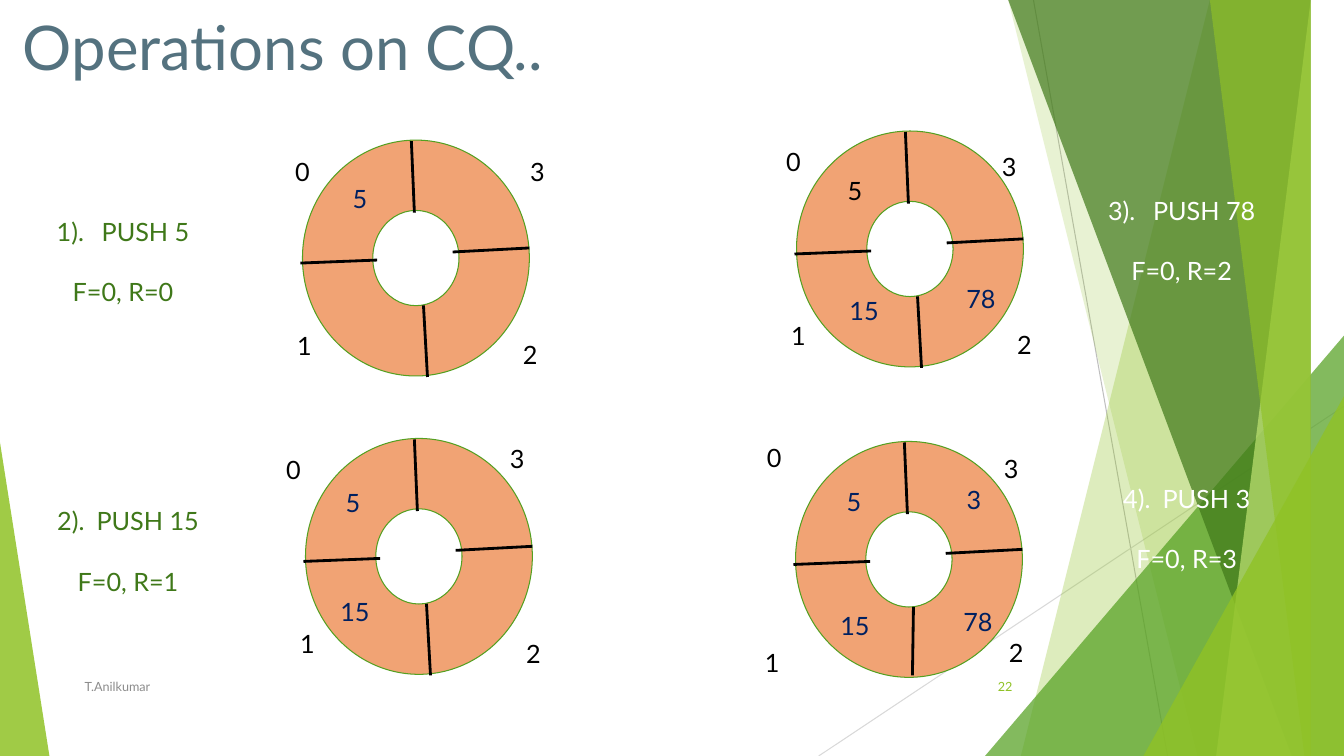
from lxml.etree import SubElement
from pptx import Presentation
from pptx.dml.color import RGBColor
from pptx.enum.shapes import MSO_CONNECTOR, MSO_SHAPE
from pptx.enum.text import MSO_ANCHOR, PP_ALIGN
from pptx.oxml.ns import qn
from pptx.util import Inches, Pt

WIDTH, HEIGHT = 13.33, 7.5
FONT = "Lato"
LIME = RGBColor(0x90, 0xC2, 0x26)
PALE_LIME = RGBColor(0xC0, 0xE4, 0x74)
GREEN = RGBColor(0x54, 0xA0, 0x21)
DARK_GREEN = RGBColor(0x3F, 0x78, 0x19)
ORANGE = RGBColor(0xF1, 0xA3, 0x74)
SLATE = RGBColor(0x54, 0x72, 0x7F)
NAVY = RGBColor(0x00, 0x20, 0x60)
BLACK = RGBColor(0x00, 0x00, 0x00)
WHITE = RGBColor(0xFF, 0xFF, 0xFF)
GREY = RGBColor(0x8C, 0x8C, 0x8C)
MID_GREY = RGBColor(0xBF, 0xBF, 0xBF)
LIGHT_GREY = RGBColor(0xD9, 0xD9, 0xD9)

RING_SIZE = (2.25, 2.34)
CELL_SIZE = (0.7, 0.4)
CAPTION_SIZE = (1.88, 0.97)

# Ring divider ends, measured from the ring's top left corner
DIVIDERS = {
    "top": (1.08, 0.01, 1.11, 0.72),
    "right": (2.25, 1.07, 1.49, 1.11),
    "bottom": (1.2, 1.64, 1.24, 2.35),
    "left": (0.74, 1.19, -0.02, 1.22),
}

# Each step: caption, ring corner, index centres 0 to 3 and stored values;
# centres are measured from the ring's corner
STEPS = [
    dict(number="1).", gap=3, action="PUSH 5", state="F=0, R=0",
         caption=(0.28, 2.11), color=DARK_GREEN, ring=(3.0, 1.39),
         indexes=[(0, 0.31), (0.02, 2.04), (2.26, 2.13), (2.33, 0.31)],
         values=[("5", 0.57, 0.58, NAVY)]),
    dict(number="2).", gap=2, action="PUSH 15", state="F=0, R=1",
         caption=(0.33, 4.98), color=DARK_GREEN, ring=(3.03, 4.35),
         indexes=[(-0.12, 0.31), (0.02, 2.03), (2.26, 2.13), (2.1, 0.2)],
         values=[("5", 0.47, 0.63, NAVY), ("15", 0.49, 1.72, NAVY)]),
    dict(number="3).", gap=3, action="PUSH 78", state="F=0, R=2",
         caption=(10.78, 1.9), color=WHITE, ring=(7.9, 1.3),
         indexes=[(-0.03, 0.3), (0.02, 2.03), (2.26, 2.12), (2.11, 0.35)],
         values=[("5", 0.58, 0.59, BLACK), ("15", 0.67, 1.78, NAVY),
                 ("78", 1.83, 1.66, NAVY)]),
    dict(number="4).", gap=2, action="PUSH 3", state="F=0, R=3",
         caption=(10.83, 4.76), color=WHITE, ring=(7.89, 4.38),
         indexes=[(-0.21, 0.16), (-0.23, 2.19), (2.19, 2.09), (2.14, 0.27)],
         values=[("5", 0.58, 0.59, NAVY), ("15", 0.59, 1.83, NAVY),
                 ("78", 1.81, 1.79, NAVY), ("3", 1.77, 0.58, NAVY)],
         dividers={"bottom": (1.17, 1.64, 1.16, 2.32)}),
]


def add_span(para, text, size, color):
    span = para.add_run()
    span.text = text
    span.font.name = FONT
    span.font.size = Pt(size)
    span.font.color.rgb = color
    return span


def add_box(page, left, top, width, height, align):
    """Add an empty, wrapping text box and return its frame."""
    box = page.shapes.add_textbox(*map(Inches, (left, top, width, height)))
    frame = box.text_frame
    frame.word_wrap = True
    frame.vertical_anchor = MSO_ANCHOR.MIDDLE
    frame.paragraphs[0].alignment = align
    return frame


def add_text(page, text, left, top, width, height, size, color,
             align=PP_ALIGN.LEFT):
    frame = add_box(page, left, top, width, height, align)
    add_span(frame.paragraphs[0], text, size, color)


def add_centred(page, text, x, y, color):
    width, height = CELL_SIZE
    add_text(page, text, x - width / 2, y - height / 2, width, height,
             18, color, PP_ALIGN.CENTER)


def add_line(page, x1, y1, x2, y2, color, weight):
    line = page.shapes.add_connector(
        MSO_CONNECTOR.STRAIGHT, *map(Inches, (x1, y1, x2, y2)))
    line.line.color.rgb = color
    line.line.width = Pt(weight)
    SubElement(line._element.spPr, qn("a:effectLst"))


def tint(shape, color, opacity):
    """Fill a borderless shape with a see-through colour."""
    shape.shadow.inherit = False
    shape.fill.solid()
    shape.fill.fore_color.rgb = color
    shape.line.fill.background()
    fill = shape._element.spPr.find(qn("a:solidFill"))
    SubElement(fill[0], qn("a:alpha"), val=str(opacity * 1000))


def add_band(page, top_left, top_right, bottom_left, color, opacity):
    """Add a facet from the top edge to the bottom right corner."""
    builder = page.shapes.build_freeform(
        Inches(top_left), 0, scale=Inches(1))
    builder = page.shapes.build_freeform(top_left, 0, scale=Inches(1))
    builder.add_line_segments(
        [(top_right, 0), (WIDTH, HEIGHT), (bottom_left, HEIGHT)], close=True)
    tint(builder.convert_to_shape(), color, opacity)


def add_corner(page, left, top, width, apex, color, opacity):
    """Add a right triangle that stands on the bottom edge."""
    corner = page.shapes.add_shape(
        MSO_SHAPE.ISOSCELES_TRIANGLE,
        *map(Inches, (left, top, width, HEIGHT - top)))
    corner.adjustments[0] = apex
    tint(corner, color, opacity)


def add_backdrop(page):
    add_line(page, 10.25, 0, 11.58, HEIGHT, MID_GREY, 0.75)
    add_line(page, WIDTH, 4.03, 8.12, HEIGHT, LIGHT_GREY, 0.75)
    add_band(page, 12.28, WIDTH, 10.04, LIME, 30)
    add_band(page, 10.5, WIDTH, 11.83, LIME, 20)
    add_corner(page, 9.77, 3.33, 3.56, 1, GREEN, 72)
    add_band(page, 10.21, WIDTH, 12.91, DARK_GREEN, 70)
    add_band(page, 13.03, WIDTH, 11.92, PALE_LIME, 70)
    add_band(page, 11.96, WIDTH, 13.18, LIME, 65)
    add_corner(page, 11.34, 3.93, 1.99, 1, LIME, 80)
    add_corner(page, 0, 4.39, 0.49, 0, LIME, 85)


def add_ring(page, step):
    """Draw the circular queue with its four cells."""
    left, top = step["ring"]
    ring = page.shapes.add_shape(
        MSO_SHAPE.DONUT, *map(Inches, (left, top, *RING_SIZE)))
    ring.adjustments[0] = 0.31
    ring.shadow.inherit = False
    ring.fill.solid()
    ring.fill.fore_color.rgb = ORANGE
    ring.line.color.rgb = GREEN
    ring.line.width = Pt(0.75)
    dividers = DIVIDERS | step.get("dividers", {})
    for x1, y1, x2, y2 in dividers.values():
        add_line(page, left + x1, top + y1, left + x2, top + y2, BLACK, 0)
    for index, (x, y) in enumerate(step["indexes"]):
        add_centred(page, str(index), left + x, top + y, BLACK)
    for value, x, y, color in step["values"]:
        add_centred(page, value, left + x, top + y, color)


def add_caption(page, step):
    """Write the operation and the front and rear positions after it."""
    color = step["color"]
    frame = add_box(page, *step["caption"], *CAPTION_SIZE, PP_ALIGN.CENTER)
    operation = frame.paragraphs[0]
    add_span(operation, step["number"], 18, color)
    gap = add_span(operation, " ", 18, color)
    gap.font._element.set("spc", str(400 * (step["gap"] - 1)))
    add_span(operation, step["action"], 18, color)
    state = frame.add_paragraph()
    state.alignment = PP_ALIGN.CENTER
    state.space_before = Pt(21.6)
    add_span(state, step["state"], 18, color)


def main():
    deck = Presentation()
    deck.slide_width, deck.slide_height = Inches(WIDTH), Inches(HEIGHT)
    page = deck.slides.add_slide(deck.slide_layouts[6])
    add_backdrop(page)
    add_text(page, "Operations on CQ..", 0.13, 0.06, 12.93, 0.79, 44, SLATE)
    for step in STEPS:
        add_ring(page, step)
        add_caption(page, step)
    # Footer
    add_text(page, "T.Anilkumar", 0.74, 6.61, 6.89, 0.4, 9, GREY)
    add_text(page, "22", 9.39, 6.61, 0.75, 0.4, 9, LIME, PP_ALIGN.RIGHT)
    deck.save("out.pptx")


if __name__ == "__main__":
    main()
